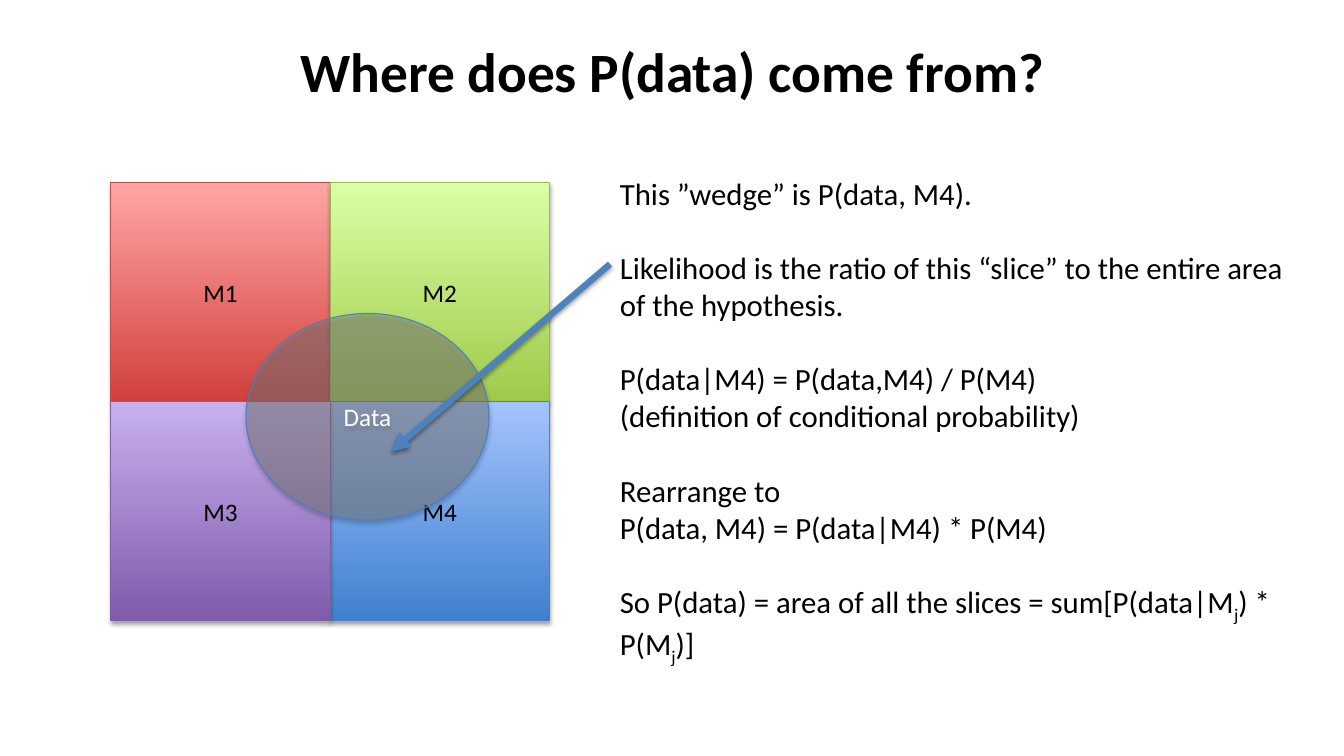
from dataclasses import dataclass

from lxml.etree import SubElement
from pptx import Presentation
from pptx.dml.color import RGBColor
from pptx.enum.shapes import MSO_CONNECTOR, MSO_SHAPE
from pptx.enum.text import MSO_ANCHOR, MSO_AUTO_SIZE, PP_ALIGN
from pptx.oxml.ns import qn
from pptx.util import Inches, Pt


@dataclass(frozen=True)
class Theme:
    font: str = "Calibri"
    title_size: float = 39.6
    body_size: float = 22
    label_size: float = 18
    line_pitch: float = 26.8
    text: str = "000000"
    data_text: str = "FFFFFF"
    data_fill: str = "808080"
    data_line: str = "4B7EBC"
    arrow: str = "4F81BD"
    shadow: str = "000000"


theme = Theme()


def add_span(para, text, size, color=theme.text):
    span = para.add_run()
    span.text = text
    span.font.name = theme.font
    span.font.size = Pt(size)
    span.font.color.rgb = RGBColor.from_string(color)
    return span


def add_shadow(shape, distance, opacity):
    """Give a shape or connector a soft shadow falling straight down."""
    effects = SubElement(shape._element.spPr, qn("a:effectLst"))
    shadow = SubElement(effects, qn("a:outerShdw"), blurRad=str(Pt(3.1)),
                        dist=str(Pt(distance)), dir="5400000", rotWithShape="0")
    color = SubElement(shadow, qn("a:srgbClr"), val=theme.shadow)
    SubElement(color, qn("a:alpha"), val=str(opacity * 1000))


deck = Presentation()
deck.slide_width, deck.slide_height = Inches(13.33), Inches(7.5)
page = deck.slides.add_slide(deck.slide_layouts[5])

# Title
title = page.shapes.title
title.left, title.top = Inches(0.67), Inches(0.3)
title.width, title.height = Inches(12), Inches(0.79)
title.text_frame.auto_size = MSO_AUTO_SIZE.NONE
title.text_frame.vertical_anchor = MSO_ANCHOR.MIDDLE
para = title.text_frame.paragraphs[0]
para.alignment = PP_ALIGN.CENTER
add_span(para, "Where does P(data) come from?", theme.title_size).font.bold = True

# Four hypotheses: name, column, row, bottom colour, top colour, outline
hypotheses = [
    ("M1", 0, 0, "D1403C", "FFA6A5", "BF4C48"),
    ("M2", 1, 0, "A0CA4A", "DAFFA5", "98B955"),
    ("M4", 1, 1, "3F80CE", "A4C4FF", "4B7EBC"),
    ("M3", 0, 1, "7F5BAB", "C8B0ED", "7D60A0"),
]
side = 2.175
labelled = []
for name, column, row, bottom, top, outline in hypotheses:
    square = page.shapes.add_shape(
        MSO_SHAPE.RECTANGLE, Inches(1.1 + column * side), Inches(1.81 + row * side),
        Inches(side), Inches(side))
    square.fill.gradient()
    square.fill.gradient_angle = 90
    for stop, color in zip(square.fill.gradient_stops, (bottom, top)):
        stop.color.rgb = RGBColor.from_string(color)
    labelled.append((square, name, outline, theme.text))

# Data ellipse over the squares
ellipse = page.shapes.add_shape(
    MSO_SHAPE.OVAL, Inches(2.44), Inches(3.11), Inches(2.41), Inches(2.05))
ellipse.fill.solid()
ellipse.fill.fore_color.rgb = RGBColor.from_string(theme.data_fill)
fill_color = ellipse._element.spPr.find(qn("a:solidFill")).find(qn("a:srgbClr"))
SubElement(fill_color, qn("a:alpha"), val="47000")
labelled.append((ellipse, "Data", theme.data_line, theme.data_text))

# Outline, shadow and label of every shape
for shape, label, outline, color in labelled:
    shape.line.color.rgb = RGBColor.from_string(outline)
    shape.line.width = Pt(0.75)
    add_shadow(shape, 1.8, 35)
    shape.text_frame.vertical_anchor = MSO_ANCHOR.MIDDLE
    para = shape.text_frame.paragraphs[0]
    para.alignment = PP_ALIGN.CENTER
    add_span(para, label, theme.label_size, color)

# Arrow from the explanation to the M4 wedge
arrow = page.shapes.add_connector(
    MSO_CONNECTOR.STRAIGHT, Inches(6.05), Inches(2.62), Inches(3.88), Inches(4.48))
arrow.line.color.rgb = RGBColor.from_string(theme.arrow)
arrow.line.width = Pt(4.5)
SubElement(arrow.line._get_or_add_ln(), qn("a:tailEnd"), type="triangle")
add_shadow(arrow, 1.6, 38)

# Explanation: one block per idea, a list of lines, "_" before a subscript letter
blocks = [
    ["This ”wedge” is P(data, M4)."],
    ["Likelihood is the ratio of this “slice” to the entire area of the hypothesis."],
    ["P(data|M4) = P(data,M4) / P(M4)", "(definition of conditional probability)"],
    ["Rearrange to ", "P(data, M4) = P(data|M4) * P(M4)"],
    ["So P(data) = area of all the slices = sum[P(data|M_j) * P(M_j)]"],
]
box = page.shapes.add_textbox(Inches(6.05), Inches(1.68), Inches(6.87), Inches(4.91))
frame = box.text_frame
frame.word_wrap = True
frame.auto_size = MSO_AUTO_SIZE.SHAPE_TO_FIT_TEXT
for block_index, lines in enumerate(blocks):
    for line_index, line in enumerate(lines):
        first = block_index == 0 and line_index == 0
        para = frame.paragraphs[0] if first else frame.add_paragraph()
        if block_index and line_index == 0:
            para.space_before = Pt(theme.line_pitch)
        start, *rest = line.split("_")
        add_span(para, start, theme.body_size)
        for part in rest:
            subscript = add_span(para, part[0], theme.body_size)
            subscript.font._element.set("baseline", "-25000")
            add_span(para, part[1:], theme.body_size)

deck.save("out.pptx")
